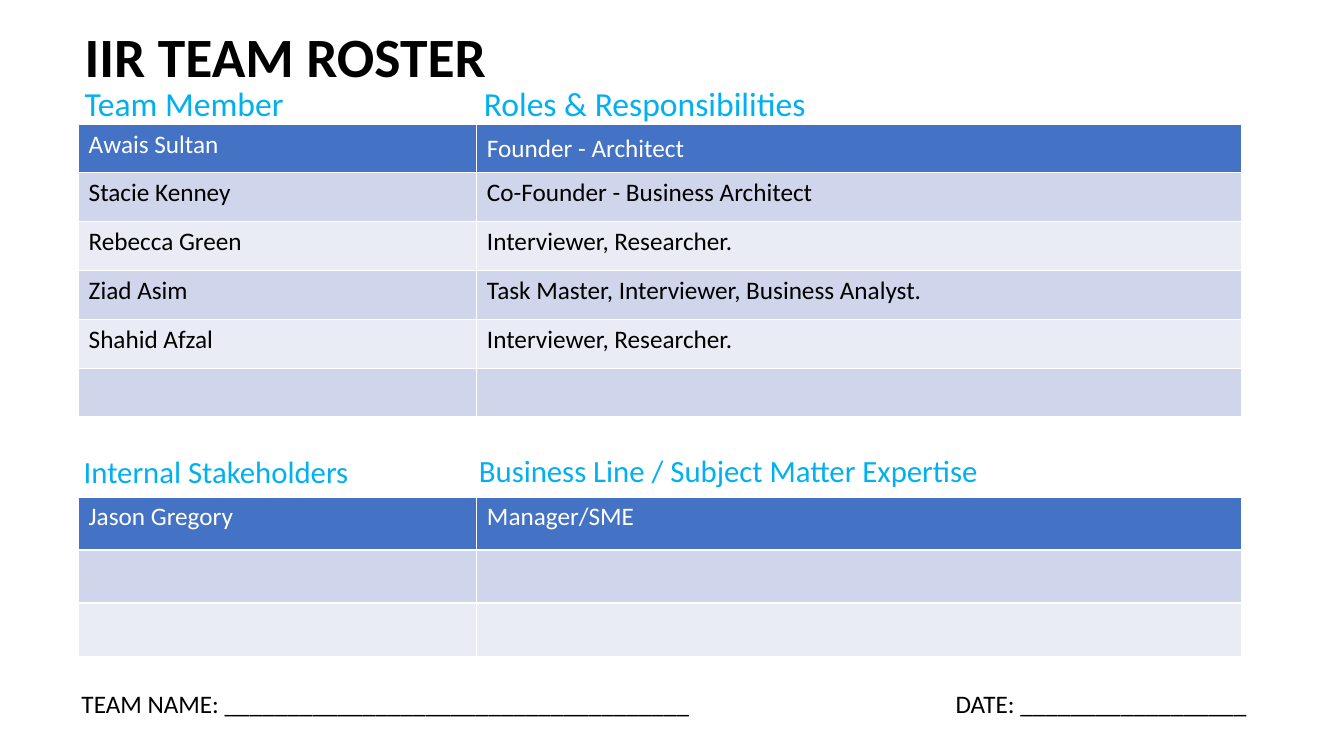
from pptx import Presentation
from pptx.dml.color import RGBColor
from pptx.enum.text import MSO_ANCHOR, MSO_AUTO_SIZE, PP_ALIGN
from pptx.util import Inches, Pt

BLACK = RGBColor(0x00, 0x00, 0x00)
WHITE = RGBColor(0xFF, 0xFF, 0xFF)
CYAN = RGBColor(0x00, 0xB0, 0xF0)
HEADER_BLUE = RGBColor(0x44, 0x72, 0xC4)
BANDS = [RGBColor(0xCF, 0xD5, 0xEA), RGBColor(0xE9, 0xEB, 0xF5)]

TITLE = "IIR TEAM ROSTER"
TEAM = [
    ("Awais Sultan", "Founder - Architect"),
    ("Stacie Kenney", "Co-Founder - Business Architect"),
    ("Rebecca Green", "Interviewer, Researcher."),
    ("Ziad Asim", "Task Master, Interviewer, Business Analyst."),
    ("Shahid Afzal", "Interviewer, Researcher."),
    ("", ""),
]
STAKEHOLDERS = [("Jason Gregory", "Manager/SME"), ("", ""), ("", "")]

# text, (left, top, width, height), size, inset, line spacing, space after
HEADINGS = [
    ("Team Member", (0.74, 0.58, 4.42, 0.7), 24, 0.1, 0.9, 0),
    ("Roles & Responsibilities", (4.7, 0.58, 5.58, 0.7), 24, 0.1, 0.9, 0),
    ("Internal Stakeholders", (0.78, 4.21, 4.42, 0.7), 22, 0.05, 1.0, 2),
    ("Business Line / Subject Matter Expertise", (4.7, 4.2, 5.92, 0.7), 22, 0.05, 1.0, 2),
]
SIGN_OFF = [
    ("TEAM NAME: " + "_" * 37, (0.71, 6.78, 6.95, 0.4)),
    ("DATE: " + "_" * 18, (9.38, 6.78, 3.37, 0.4)),
]
TABLE_LEFT = 0.78
COLUMN_WIDTHS = (3.95, 7.58)


def write(frame, text, size=18, color=BLACK, bold=False, line_spacing=1.0, space_after=0):
    paragraph = frame.paragraphs[0]
    paragraph.alignment = PP_ALIGN.LEFT
    paragraph.line_spacing = line_spacing
    paragraph.space_after = Pt(space_after)
    run = paragraph.add_run()
    run.text = text
    run.font.name = "Calibri"
    run.font.size = Pt(size)
    run.font.bold = bold
    run.font.color.rgb = color


def add_text(slide, text, place, inset=0.1, anchor=MSO_ANCHOR.TOP, grow=False, **text_format):
    frame = slide.shapes.add_textbox(*map(Inches, place)).text_frame
    frame.word_wrap = True
    frame.auto_size = MSO_AUTO_SIZE.SHAPE_TO_FIT_TEXT if grow else MSO_AUTO_SIZE.NONE
    frame.vertical_anchor = anchor
    frame.margin_left = frame.margin_right = Inches(inset)
    frame.margin_top = frame.margin_bottom = Inches(0.05)
    write(frame, text, **text_format)


def add_roster(slide, people, top, height):
    table = slide.shapes.add_table(
        len(people), len(COLUMN_WIDTHS), Inches(TABLE_LEFT), Inches(top),
        Inches(sum(COLUMN_WIDTHS)), Inches(height)).table
    for column, width in zip(table.columns, COLUMN_WIDTHS):
        column.width = Inches(width)
    for row, person in enumerate(people):
        for column, text in enumerate(person):
            cell = table.cell(row, column)
            cell.fill.solid()
            cell.fill.fore_color.rgb = BANDS[(row - 1) % 2] if row else HEADER_BLUE
            if text:
                write(cell.text_frame, text, color=BLACK if row else WHITE)
    return table


def main():
    presentation = Presentation()
    presentation.slide_width = Inches(13.33)
    presentation.slide_height = Inches(7.5)
    slide = presentation.slides.add_slide(presentation.slide_layouts[5])

    title = slide.shapes.title
    title.left, title.top, title.width, title.height = map(Inches, (0.74, 0.34, 4.63, 0.5))
    title.text_frame.vertical_anchor = MSO_ANCHOR.MIDDLE
    title.text_frame.auto_size = MSO_AUTO_SIZE.NONE
    write(title.text_frame, TITLE, size=39.6, bold=True, line_spacing=0.9)

    for text, place, size, inset, line_spacing, space_after in HEADINGS:
        add_text(slide, text, place, inset=inset, anchor=MSO_ANCHOR.BOTTOM, size=size,
                 color=CYAN, line_spacing=line_spacing, space_after=space_after)

    team_table = add_roster(slide, TEAM, 1.23, 2.91)
    team_table.cell(0, 1).vertical_anchor = MSO_ANCHOR.MIDDLE
    add_roster(slide, STAKEHOLDERS, 4.93, 1.58)

    for text, place in SIGN_OFF:
        add_text(slide, text, place, grow=True)

    presentation.save("out.pptx")


if __name__ == "__main__":
    main()
